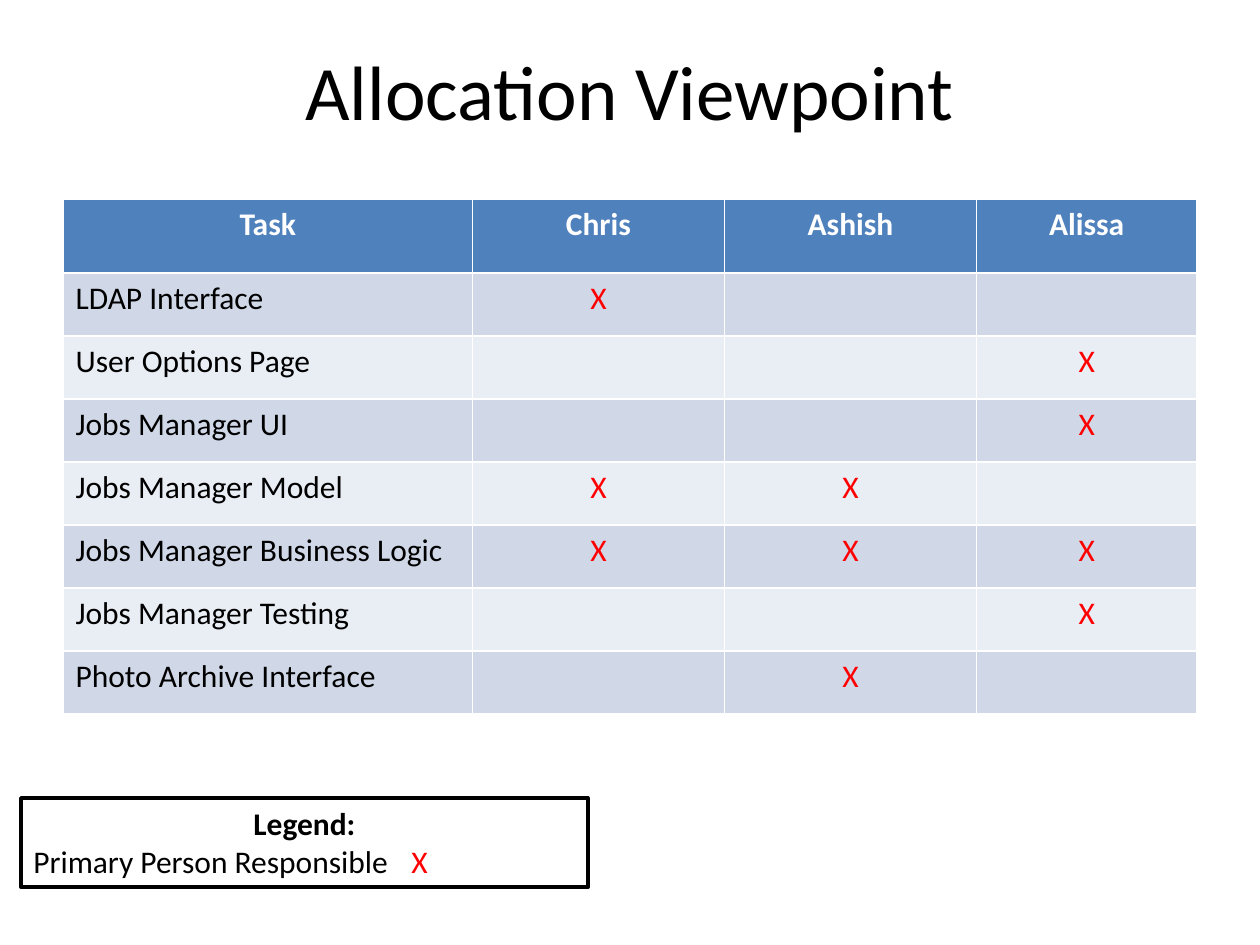
import pptx
import pptx.util
import pptx.dml.color
import pptx.enum.shapes
import pptx.enum.text

Pt = pptx.util.Pt
ALIGN = pptx.enum.text.PP_ALIGN
ANCHOR = pptx.enum.text.MSO_ANCHOR

TITLE = "Allocation Viewpoint"
PEOPLE = ["Chris", "Ashish", "Alissa"]
TASKS = [
    ("LDAP Interface", ["Chris"]),
    ("User Options Page", ["Alissa"]),
    ("Jobs Manager UI", ["Alissa"]),
    ("Jobs Manager Model", ["Chris", "Ashish"]),
    ("Jobs Manager Business Logic", ["Chris", "Ashish", "Alissa"]),
    ("Jobs Manager Testing", ["Alissa"]),
    ("Photo Archive Interface", ["Ashish"]),
]
LEGEND = ("Legend:", "Primary Person Responsible\t")
MARK = "X"
WIDTHS = [234, 144, 144, 126]
HEAD, ROW = 42, 36
COLORS = {
    "text": "000000",
    "paper": "FFFFFF",
    "mark": "FF0000",
    "head": "4F81BD",
    "odd": "D0D8E8",
    "even": "E9EDF4",
}


def color(name):
    return pptx.dml.color.RGBColor.from_string(COLORS[name])


def paint(thing, name):
    thing.fill.solid()
    thing.fill.fore_color.rgb = color(name)


def style(par, name="text", size=18, bold=False, align=ALIGN.CENTER):
    par.alignment = align
    for run in par.runs:
        run.font.name = "Calibri"
        run.font.size = Pt(size)
        run.font.bold = bold
        run.font.color.rgb = color(name)


def add_title(slide):
    box = slide.shapes.add_textbox(Pt(36), Pt(6), Pt(648), Pt(90))
    frame = box.text_frame
    frame.word_wrap = True
    frame.vertical_anchor = ANCHOR.MIDDLE
    frame.text = TITLE
    style(frame.paragraphs[0], size=44)


def add_grid(slide):
    rows = [["Task"] + PEOPLE]
    for task, owners in TASKS:
        rows.append([task] + [MARK if who in owners else "" for who in PEOPLE])
    high = HEAD + ROW * len(TASKS)
    table = slide.shapes.add_table(
        len(rows), len(WIDTHS), Pt(36), Pt(114), Pt(sum(WIDTHS)), Pt(high)
    ).table
    for col, width in zip(table.columns, WIDTHS):
        col.width = Pt(width)
    for r, row in enumerate(rows):
        table.rows[r].height = Pt(ROW if r else HEAD)
        for c, text in enumerate(row):
            cell = table.cell(r, c)
            cell.text = text
            par = cell.text_frame.paragraphs[0]
            if r == 0:
                paint(cell, "head")
                style(par, "paper", bold=True)
                continue
            paint(cell, "odd" if r % 2 else "even")
            if c == 0:
                style(par, align=ALIGN.LEFT)
            else:
                style(par, "mark")


def add_legend(slide):
    box = slide.shapes.add_shape(
        pptx.enum.shapes.MSO_SHAPE.RECTANGLE, Pt(12), Pt(456), Pt(324), Pt(51)
    )
    box.shadow.inherit = False
    paint(box, "paper")
    box.line.color.rgb = color("text")
    box.line.width = Pt(2)
    frame = box.text_frame
    frame.word_wrap = True
    frame.vertical_anchor = ANCHOR.TOP
    frame.text = "\n".join(LEGEND)
    head, key = frame.paragraphs
    style(head, bold=True)
    key.add_run().text = MARK
    style(key, align=ALIGN.LEFT)
    key.runs[-1].font.color.rgb = color("mark")


def main():
    deck = pptx.Presentation()
    deck.slide_width, deck.slide_height = Pt(720), Pt(540)
    slide = deck.slides.add_slide(deck.slide_layouts[6])
    add_title(slide)
    add_grid(slide)
    add_legend(slide)
    deck.save("out.pptx")


if __name__ == "__main__":
    main()
